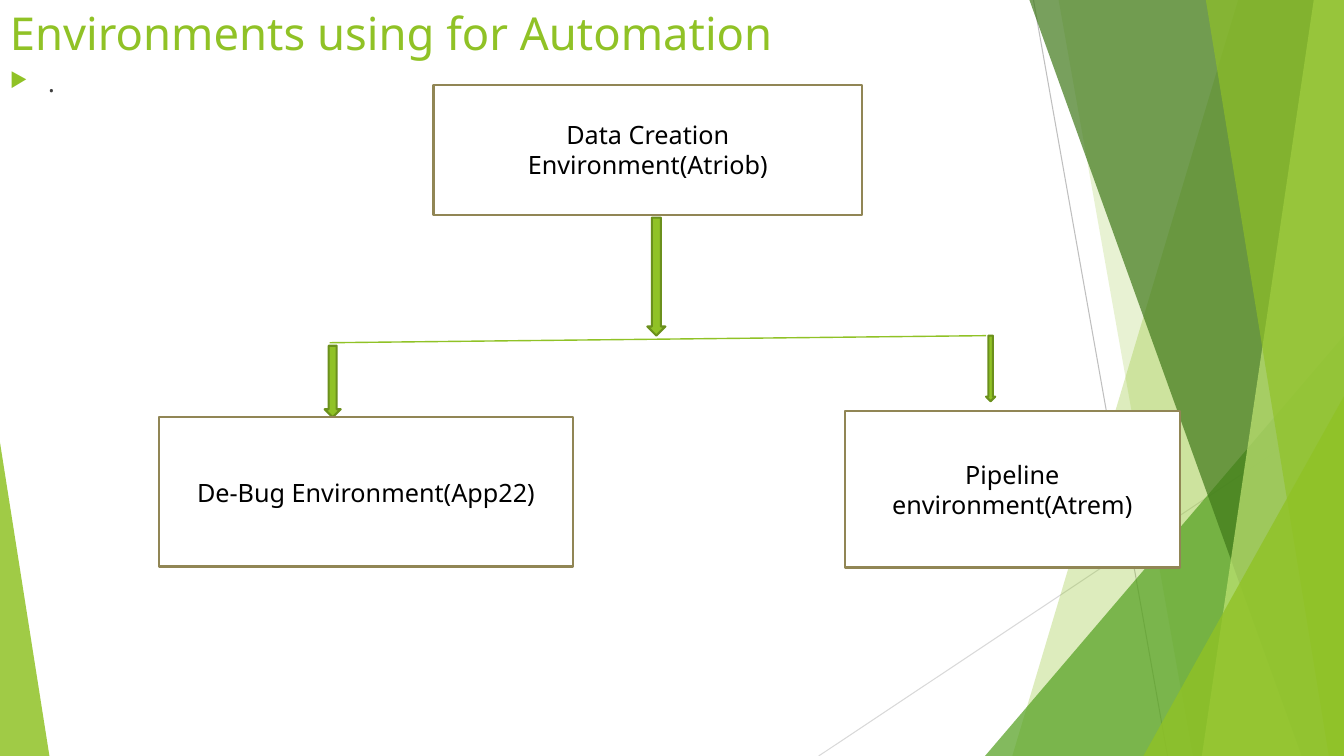
from dataclasses import dataclass

from lxml import etree
from pptx import Presentation
from pptx import util as u
from pptx.dml.color import RGBColor
from pptx.enum import shapes, text
from pptx.oxml import ns


@dataclass(frozen=True)
class Theme:
    """Colours, font and type sizes of the slide."""
    font: str = "Noto Sans"
    title_size: float = 32.4
    body_size: float = 18
    lime: str = "90C226"
    pale: str = "C0E474"
    green: str = "54A021"
    forest: str = "3F7819"
    arrow_edge: str = "6B901C"
    box_edge: str = "918655"
    white: str = "FFFFFF"
    black: str = "000000"
    body: str = "404040"
    ray: str = "BFBFBF"
    faint_ray: str = "D9D9D9"


@dataclass(frozen=True)
class Box:
    """A rectangle in inches."""
    left: float
    top: float
    width: float
    height: float

    def inside(self, left, top, width, height):
        """Return a box placed relative to this one."""
        return Box(self.left + left, self.top + top, width, height)

    def lengths(self):
        """Return the four sides as slide lengths."""
        return [u.Inches(side) for side in (self.left, self.top, self.width, self.height)]


THEME = Theme()


def paint(shape, colour, opacity=100, edge=None):
    """Fill a shape and outline it when an edge colour is given."""
    shape.shadow.inherit = False
    shape.fill.solid()
    shape.fill.fore_color.rgb = RGBColor.from_string(colour)
    if opacity < 100:
        tone = shape.fill._xPr.find(".//" + ns.qn("a:srgbClr"))
        etree.SubElement(tone, ns.qn("a:alpha"), val=str(opacity * 1000))
    if edge:
        shape.line.color.rgb = RGBColor.from_string(edge)
        shape.line.width = u.Pt(1.5)
    else:
        shape.line.fill.background()


def add_preset(page, kind, box, colour, opacity=100, edge=None):
    """Add a painted preset shape."""
    shape = page.shapes.add_shape(kind, *box.lengths())
    paint(shape, colour, opacity, edge)
    return shape


def add_line(page, box, start, end, colour, width):
    """Add a straight line between two points of a box."""
    ends = [u.Inches(side) for x, y in (start, end) for side in (box.left + x, box.top + y)]
    line = page.shapes.add_connector(shapes.MSO_CONNECTOR.STRAIGHT, *ends)
    line.line.color.rgb = RGBColor.from_string(colour)
    line.line.width = u.Pt(width)
    etree.SubElement(line._element.spPr, ns.qn("a:effectLst"))


def write(frame, words, size, colour):
    """Write one paragraph and format its run."""
    frame.word_wrap = True
    frame.text = words
    para = frame.paragraphs[0]
    font = para.runs[0].font
    font.name, font.size = THEME.font, u.Pt(size)
    font.color.rgb = RGBColor.from_string(colour)
    return para


def add_band(page, box, top_x, bottom_x, colour, opacity):
    """Add a full-height band from a slanted edge to the right side."""
    points = [(top_x, 0), (box.width, 0), (box.width, box.height), (bottom_x, box.height)]
    corners = [(u.Inches(box.left + x), u.Inches(box.top + y)) for x, y in points]
    builder = page.shapes.build_freeform(*corners[0])
    builder.add_line_segments(corners[1:], close=True)
    paint(builder.convert_to_shape(), colour, opacity)


def add_wedge(page, box, width, height, lean, colour, opacity):
    """Add a right triangle in a bottom corner, its apex at the lean side."""
    place = box.inside(lean * (box.width - width), box.height - height, width, height)
    wedge = add_preset(page, shapes.MSO_SHAPE.ISOSCELES_TRIANGLE, place, colour, opacity)
    wedge.adjustments[0] = lean


def draw_facets(page, box):
    """Draw the translucent green facets and thin rays."""
    add_line(page, box, (10.25, 0), (11.58, 7.5), THEME.ray, 0.75)
    add_line(page, box, (13.33, 4.03), (8.12, 7.5), THEME.faint_ray, 0.75)
    facets = [
        (add_band, 12.28, 10.04, THEME.lime, 30),
        (add_band, 10.5, 11.83, THEME.lime, 20),
        (add_wedge, 3.56, 4.17, 1, THEME.green, 72),
        (add_band, 10.21, 12.91, THEME.forest, 70),
        (add_band, 13.03, 11.92, THEME.pale, 70),
        (add_band, 11.96, 13.18, THEME.lime, 65),
        (add_wedge, 1.99, 3.57, 1, THEME.lime, 80),
        (add_wedge, 0.49, 3.11, 0, THEME.lime, 85),
    ]
    for draw, *details in facets:
        draw(page, box, *details)


def draw_heading(page, box):
    """Write the title and the bulleted line under it."""
    title = page.shapes.add_textbox(*box.inside(0, 0, box.width, 0.62).lengths())
    write(title.text_frame, "Environments using for Automation", THEME.title_size, THEME.lime)
    body = page.shapes.add_textbox(*box.inside(0, 0.62, box.width, box.height - 0.62).lengths())
    para = write(body.text_frame, ".", THEME.body_size, THEME.body)
    layout = para._p.get_or_add_pPr()
    indent = u.Inches(0.38)
    layout.set("marL", str(indent))
    layout.set("indent", str(-indent))
    tone = etree.SubElement(layout, ns.qn("a:buClr"))
    etree.SubElement(tone, ns.qn("a:srgbClr"), val=THEME.lime)
    etree.SubElement(layout, ns.qn("a:buSzPct"), val="80000")
    etree.SubElement(layout, ns.qn("a:buChar"), char="\u25b6")


def draw_environments(page, box):
    """Draw the three environments and the arrows between them."""
    arrows = [(4.84, 1.32, 0.18, 1.17), (1.64, 2.59, 0.16, 0.71), (8.2, 2.49, 0.09, 0.65)]
    environments = [
        ("Data Creation Environment(Atriob)", (2.72, 0, 4.25, 1.29)),
        ("De-Bug Environment(App22)", (0, 3.3, 4.1, 1.48)),
        ("Pipeline environment(Atrem)", (6.8, 3.24, 3.32, 1.55)),
    ]
    add_line(page, box, (1.69, 2.56), (8.2, 2.49), THEME.lime, 1)
    for place in arrows:
        add_preset(page, shapes.MSO_SHAPE.DOWN_ARROW, box.inside(*place), THEME.lime,
                   edge=THEME.arrow_edge)
    for words, place in environments:
        card = add_preset(page, shapes.MSO_SHAPE.RECTANGLE, box.inside(*place), THEME.white,
                          edge=THEME.box_edge)
        card.text_frame.vertical_anchor = text.MSO_ANCHOR.MIDDLE
        para = write(card.text_frame, words, THEME.body_size, THEME.black)
        para.alignment = text.PP_ALIGN.CENTER


def build():
    """Build the slide and save the deck."""
    deck = Presentation()
    whole = Box(0, 0, 13.33, 7.5)
    deck.slide_width, deck.slide_height = u.Inches(whole.width), u.Inches(whole.height)
    page = deck.slides.add_slide(deck.slide_layouts[6])
    draw_facets(page, whole)
    draw_heading(page, whole)
    draw_environments(page, whole.inside(1.58, 0.84, 10.12, 4.79))
    deck.save("out.pptx")


build()
